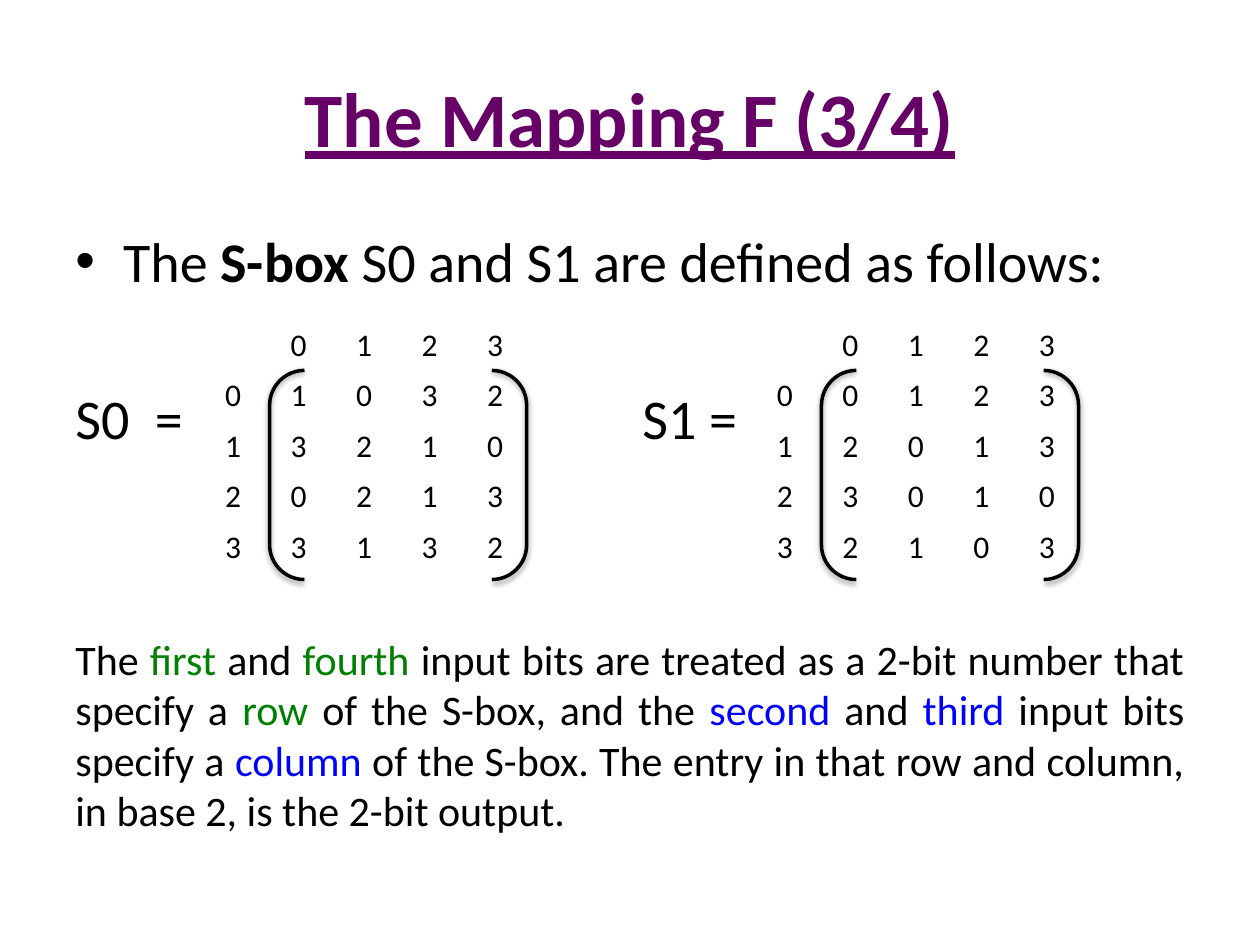
from dataclasses import dataclass

import lxml.etree
import pptx
import pptx.dml.color
import pptx.enum.shapes
import pptx.enum.text
import pptx.oxml
import pptx.oxml.ns
import pptx.util

Inches = pptx.util.Inches
Pt = pptx.util.Pt
Align = pptx.enum.text.PP_ALIGN
qn = pptx.oxml.ns.qn

FONT = "Calibri"
BLACK, PURPLE, GREEN, BLUE = "000000", "660066", "008000", "0000FF"
CELL_WIDTH, CELL_HEIGHT = 0.52, 0.4
TABLE_TOP = 2.54


@dataclass
class Words:
    """A stretch of text in one style."""
    text: str
    color: str = BLACK
    bold: bool = False
    underline: bool = False


@dataclass
class SBox:
    """A substitution box: left edge of its table, and its entries."""
    left: float
    entries: list[str]


S_BOXES = [
    SBox(1.59, ["1032", "3210", "0213", "3132"]),
    SBox(5.97, ["0123", "2013", "3010", "2103"]),
]

EXPLANATION = [
    Words("The "), Words("first", GREEN), Words(" and "), Words("fourth", GREEN),
    Words(" input bits are treated as a 2-bit number that specify a "),
    Words("row", GREEN), Words(" of the S-box, and the "), Words("second", BLUE),
    Words(" and "), Words("third", BLUE), Words(" input bits specify a "),
    Words("column", BLUE),
    Words(" of the S-box. The entry in that row and column, in base 2, "
          "is the 2-bit output."),
]


def rgb(color: str) -> pptx.dml.color.RGBColor:
    """Turn a hex string into a colour."""
    return pptx.dml.color.RGBColor.from_string(color)


def write(paragraph, phrases: list[Words], size: float, align=Align.LEFT,
          before: float = 0) -> None:
    """Fill a paragraph run by run."""
    paragraph.alignment = align
    paragraph.space_before = Pt(before)
    for words in phrases:
        run = paragraph.add_run()
        run.text = words.text
        run.font.name = FONT
        run.font.size = Pt(size)
        run.font.bold = words.bold
        run.font.underline = words.underline
        run.font.color.rgb = rgb(words.color)


def add_frame(slide, top: float, height: float, anchor):
    """Add a wrapping text box of the content width and return its frame."""
    frame = slide.shapes.add_textbox(
        Inches(0.5), Inches(top), Inches(9), Inches(height)).text_frame
    frame.word_wrap = True
    frame.vertical_anchor = anchor
    return frame


def add_bullet(paragraph) -> None:
    """Give a paragraph a round bullet with a hanging indent."""
    properties = paragraph._p.get_or_add_pPr()
    properties.set("marL", str(Inches(0.38)))
    properties.set("indent", str(-Inches(0.38)))
    lxml.etree.SubElement(properties, qn("a:buFont")).set("typeface", "Arial")
    lxml.etree.SubElement(properties, qn("a:buChar")).set("char", "•")


def add_tab_stop(paragraph, position: float) -> None:
    """Set one left tab stop on a paragraph."""
    stops = lxml.etree.SubElement(paragraph._p.get_or_add_pPr(), qn("a:tabLst"))
    stop = lxml.etree.SubElement(stops, qn("a:tab"))
    stop.set("pos", str(Inches(position)))
    stop.set("algn", "l")


def add_soft_shadow(shape) -> None:
    """Cast a soft shadow straight down."""
    shape.shadow.inherit = False
    effects = shape._element.spPr.find(qn("a:effectLst"))
    shadow = lxml.etree.SubElement(effects, qn("a:outerShdw"))
    for name, value in (("blurRad", Pt(3.1)), ("dist", Pt(1.6)),
                        ("dir", 5400000), ("rotWithShape", 0)):
        shadow.set(name, str(int(value)))
    color = lxml.etree.SubElement(shadow, qn("a:srgbClr"))
    color.set("val", BLACK)
    lxml.etree.SubElement(color, qn("a:alpha")).set("val", "38000")


def add_s_box(slide, box: SBox) -> None:
    """Draw an S-box as a table with row and column numbers and brackets."""
    rows = [" 0123"] + [f"{number}{entry}" for number, entry in enumerate(box.entries)]
    table = slide.shapes.add_table(
        5, 5, Inches(box.left), Inches(TABLE_TOP),
        Inches(5 * CELL_WIDTH), Inches(5 * CELL_HEIGHT)).table
    table.first_row = table.horz_banding = False
    for row_index, row in enumerate(rows):
        for column_index, digit in enumerate(row):
            cell = table.cell(row_index, column_index)
            cell.fill.background()
            if digit.strip():
                write(cell.text_frame.paragraphs[0], [Words(digit)], 18, Align.CENTER)
    brackets = slide.shapes.add_shape(
        pptx.enum.shapes.MSO_SHAPE.DOUBLE_BRACKET,
        Inches(box.left + 0.55), Inches(TABLE_TOP + CELL_HEIGHT),
        Inches(2.04), Inches(1.66))
    brackets.fill.background()
    brackets.line.color.rgb = rgb(BLACK)
    brackets.line.width = Pt(2)
    add_soft_shadow(brackets)


def main() -> None:
    """Build the slide and save it."""
    deck = pptx.Presentation()
    deck.slide_width, deck.slide_height = Inches(10), Inches(7.5)
    slide = deck.slides.add_slide(deck.slide_layouts[6])

    title = add_frame(slide, 0.3, 1.25, pptx.enum.text.MSO_ANCHOR.MIDDLE)
    write(title.paragraphs[0], [Words("The Mapping F (3/4)", PURPLE, True, True)],
          44, Align.CENTER)

    body = add_frame(slide, 1.75, 5.21, pptx.enum.text.MSO_ANCHOR.TOP)
    intro = body.paragraphs[0]
    write(intro, [Words("The "), Words("S-box ", bold=True),
                  Words("S0 and S1 are defined as follows:")], 32)
    add_bullet(intro)
    names = body.add_paragraph()
    write(names, [Words("S0  = \tS1 = ")], 32, before=51)
    add_tab_stop(names, 4.5)
    write(body.add_paragraph(), EXPLANATION, 24, Align.JUSTIFY, before=104.5)

    for box in S_BOXES:
        add_s_box(slide, box)
    deck.save("out.pptx")


main()
